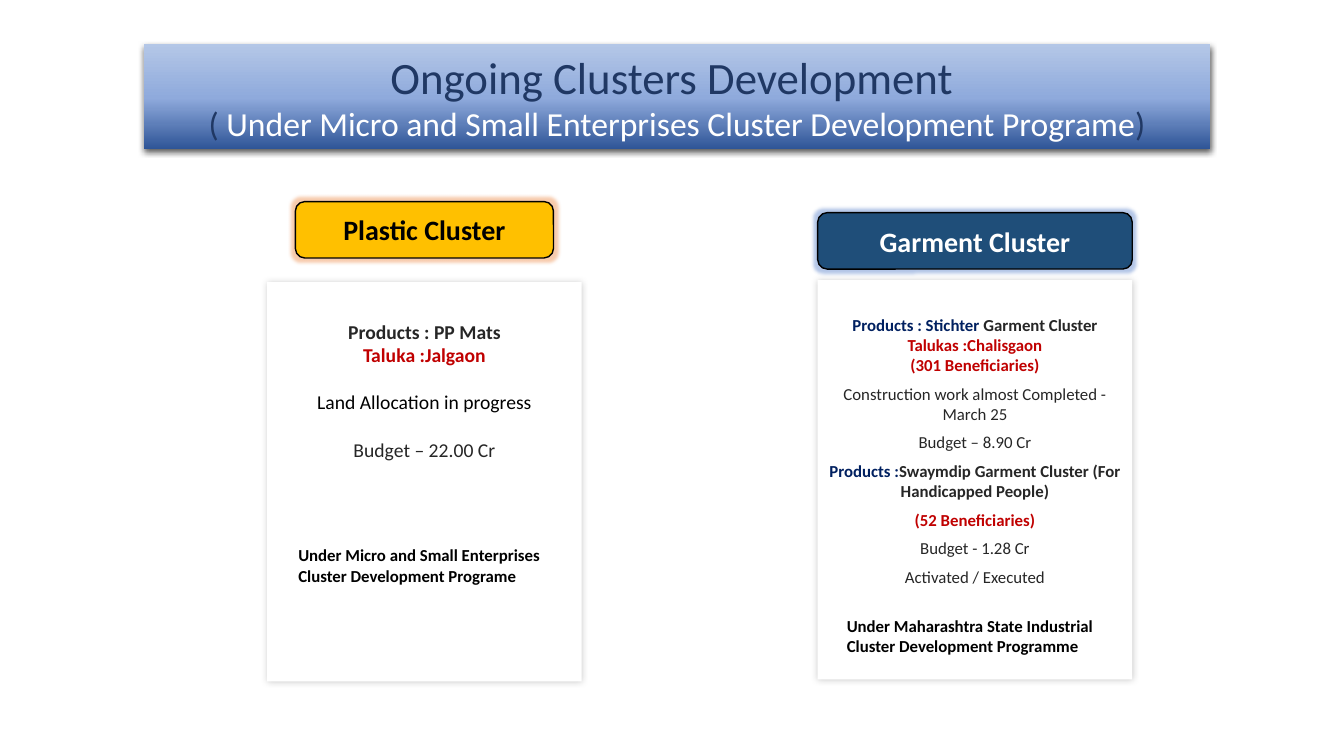
import pptx
import pptx.util
import pptx.dml.color
import pptx.enum.shapes
import pptx.enum.text
import pptx.oxml
import pptx.oxml.ns

PX = 9144  # 100 px to the inch
THEME = {
    "font": "Calibri",
    "white": "FFFFFF", "black": "000000", "dark": "262626",
    "red": "C00000", "navy": "002060", "title": "203864",
    "gold": "FFC000", "blue": "1F4E79",
    "warm": "ED7D31", "cool": "4472C4",
    "fade": [(0, "B4C7E7"), (51, "8FAADC"), (100, "2F5597")],
    "head": 32, "sub": 24, "pill": 20, "note": 12,
}
SHAPE = pptx.enum.shapes.MSO_SHAPE
ALIGN = pptx.enum.text.PP_ALIGN
ANCHOR = pptx.enum.text.MSO_ANCHOR
NS = pptx.oxml.ns.nsdecls("a")

deck = pptx.Presentation()
deck.slide_width, deck.slide_height = 1333 * PX, 750 * PX
slide = deck.slides.add_slide(deck.slide_layouts[6])


def add_box(kind, place, fill, effect):
    """Add a preset shape with a plain fill and one soft effect."""
    box = slide.shapes.add_shape(kind, *[n * PX for n in place])
    box.fill.solid()
    box.fill.fore_color.rgb = pptx.dml.color.RGBColor.from_string(fill)
    box.line.fill.background()
    box._element.spPr.append(pptx.oxml.parse_xml(
        f"<a:effectLst {NS}>{effect}</a:effectLst>"))
    return box


def write(box, lines, align=ALIGN.CENTER, top=5, anchor=ANCHOR.TOP):
    """Fill a box with lines of (space before, runs of text, size, colour, bold)."""
    frame = box.text_frame
    frame.word_wrap = True
    frame.vertical_anchor = anchor
    frame.margin_top = top * PX
    for i, (gap, runs) in enumerate(lines):
        para = frame.add_paragraph() if i else frame.paragraphs[0]
        para.alignment = align
        para.space_before = pptx.util.Pt(gap)
        for text, size, color, bold in runs:
            run = para.add_run()
            run.text = text
            run.font.name = THEME["font"]
            run.font.size = pptx.util.Pt(size)
            run.font.bold = bold
            run.font.color.rgb = pptx.dml.color.RGBColor.from_string(THEME[color])


SHADE = ('<a:outerShdw blurRad="{}" dist="{}" dir="5400000" algn="ctr" rotWithShape="0">'
         '<a:srgbClr val="000000"><a:alpha val="{}"/></a:srgbClr></a:outerShdw>')
GLOW = '<a:glow rad="63500"><a:srgbClr val="{}"><a:alpha val="40000"/></a:srgbClr></a:glow>'

# Title banner
banner = add_box(SHAPE.RECTANGLE, (143, 44, 1057, 104), THEME["white"],
                 SHADE.format(57150, 19050, 63000))
stops = "".join(f'<a:gs pos="{pos * 1000}"><a:srgbClr val="{color}"/></a:gs>'
                for pos, color in THEME["fade"])
props = banner._element.spPr
props.replace(props.find(pptx.oxml.ns.qn("a:solidFill")), pptx.oxml.parse_xml(
    f'<a:gradFill {NS} rotWithShape="1"><a:gsLst>{stops}</a:gsLst>'
    '<a:lin ang="5400000" scaled="0"/></a:gradFill>'))
write(banner, [
    (0, [("Ongoing Clusters Development ", THEME["head"], "title", False)]),
    (0, [("(", THEME["sub"], "title", False),
         (" Under Micro and Small Enterprises Cluster Development Programe",
          THEME["sub"], "white", False),
         (")", THEME["sub"], "title", False)]),
])

# Cards: place, top inset, text size, lines of (space before, runs)
cards = [
    ((265, 280, 312, 396), 37, 14, [
        (0, [("Products : PP Mats", "dark", True)]),
        (0, [("Taluka :Jalgaon", "red", True)]),
        (17, [("Land Allocation in progress", "black", False)]),
        (17, [("Budget – 22.00 Cr", "dark", False)]),
    ]),
    ((811, 278, 312, 396), 34, 12, [
        (0, [("Products : Stichter ", "navy", True), ("Garment Cluster", "dark", True)]),
        (0, [("Talukas :Chalisgaon", "red", True)]),
        (0, [("(301 Beneficiaries)", "red", True)]),
        (6, [("Construction work almost Completed - March 25", "dark", False)]),
        (6, [("Budget – 8.90 Cr", "dark", False)]),
        (6, [("Products :", "navy", True),
             ("Swaymdip Garment Cluster (For Handicapped People)", "dark", True)]),
        (6, [("(52 Beneficiaries)", "red", True)]),
        (6, [("Budget - 1.28 Cr", "dark", False)]),
        (6, [("Activated / Executed", "dark", False)]),
    ]),
]
for place, top, size, lines in cards:
    card = add_box(SHAPE.RECTANGLE, place, THEME["white"], SHADE.format(63500, 0, 20000))
    write(card, [(gap, [(text, size, color, bold) for text, color, bold in runs])
                 for gap, runs in lines], top=top)

# Cluster names
pills = [
    ("Plastic Cluster", (293, 200, 256, 56), "gold", "black", "warm"),
    ("Garment Cluster", (811, 211, 312, 56), "blue", "white", "cool"),
]
for name, place, fill, color, glow in pills:
    pill = add_box(SHAPE.ROUNDED_RECTANGLE, place, THEME[fill], GLOW.format(THEME[glow]))
    pill.line.color.rgb = pptx.dml.color.RGBColor.from_string(THEME["black"])
    pill.line.width = pptx.util.Pt(1)
    write(pill, [(0, [(name, THEME["pill"], color, True)])], anchor=ANCHOR.MIDDLE)

# Scheme notes
notes = [
    ("Under Micro and Small Enterprises Cluster Development Programe", (286, 536, 269, 50)),
    ("Under Maharashtra State Industrial Cluster Development Programme", (830, 606, 272, 50)),
]
for text, place in notes:
    note = slide.shapes.add_textbox(*[n * PX for n in place])
    write(note, [(0, [(text, THEME["note"], "black", True)])], align=ALIGN.LEFT)

deck.save("out.pptx")
